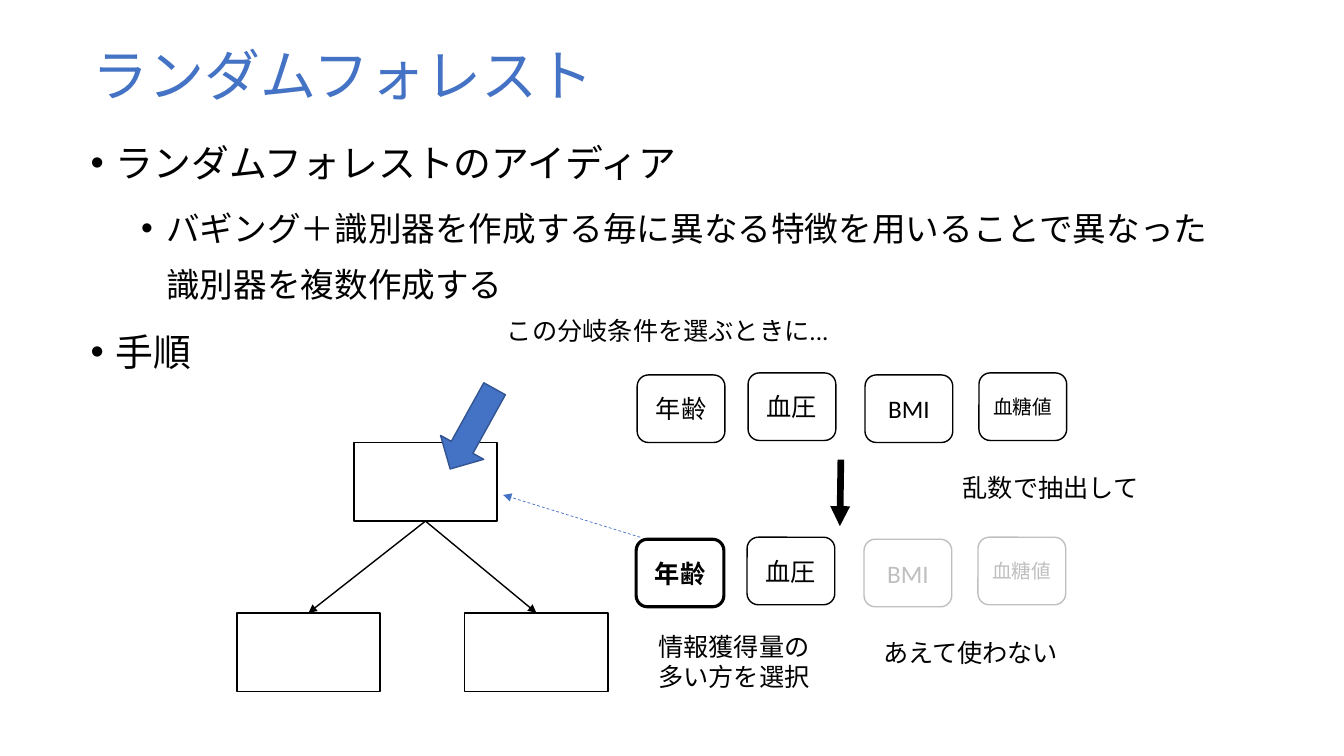
import pptx
import pptx.util
import pptx.dml.color
import pptx.enum.dml
import pptx.enum.shapes
import pptx.enum.text
from pptx.oxml.ns import qn
from lxml import etree

BLACK, BLUE, NAVY, GRAY = "000000", "4472C4", "325491", "BFBFBF"
JAPANESE, LATIN = "Noto Sans CJK JP", "Calibri"
SHAPES = pptx.enum.shapes.MSO_SHAPE
ALIGN = pptx.enum.text.PP_ALIGN
ANCHOR = pptx.enum.text.MSO_ANCHOR
FIT = pptx.enum.text.MSO_AUTO_SIZE
inch = pptx.util.Inches
pt = pptx.util.Pt


def color(code):
    return pptx.dml.color.RGBColor.from_string(code)


def style(paragraph, size, code=BLACK, face=LATIN, bold=False):
    font = paragraph.font
    font.size, font.bold, font.name = pt(size), bold, face
    font.color.rgb = color(code)
    # East Asian face follows the Latin one
    defaults = paragraph._p.pPr.find(qn("a:defRPr"))
    etree.SubElement(defaults, qn("a:ea")).set("typeface", JAPANESE)


def place(shape, box):
    shape.left, shape.top, shape.width, shape.height = map(inch, box)


def add_outline(slide, kind, box, line=BLACK, weight=1, fill=None):
    shape = slide.shapes.add_shape(kind, *map(inch, box))
    shape.shadow.inherit = False
    if fill:
        shape.fill.solid()
        shape.fill.fore_color.rgb = color(fill)
    else:
        shape.fill.background()
    shape.line.color.rgb = color(line)
    shape.line.width = pt(weight)
    return shape


def add_arrow(slide, start, end, code=BLACK, weight=1, dashed=False):
    arrow = slide.shapes.add_connector(
        pptx.enum.shapes.MSO_CONNECTOR.STRAIGHT, *map(inch, start + end))
    arrow.line.color.rgb = color(code)
    arrow.line.width = pt(weight)
    if dashed:
        arrow.line.dash_style = pptx.enum.dml.MSO_LINE.DASH
    etree.SubElement(arrow.line._get_or_add_ln(), qn("a:tailEnd")).set("type", "triangle")
    etree.SubElement(arrow._element.spPr, qn("a:effectLst"))


def add_caption(slide, box, lines, wrap=False):
    caption = slide.shapes.add_textbox(*map(inch, box))
    frame = caption.text_frame
    frame.word_wrap = wrap
    frame.text = "\n".join(lines)
    for paragraph in frame.paragraphs:
        style(paragraph, 18)


def fill_title(slide, box):
    title = slide.shapes.title
    place(title, box)
    frame = title.text_frame
    frame.text = "ランダムフォレスト"
    frame.vertical_anchor = ANCHOR.MIDDLE
    frame.auto_size = FIT.NONE
    heading = frame.paragraphs[0]
    heading.alignment = ALIGN.LEFT
    heading.line_spacing = 0.9
    style(heading, 40, BLUE, JAPANESE)


def fill_body(slide, box):
    body = slide.placeholders[1]
    place(body, box)
    outline = [
        (0, "ランダムフォレストのアイディア"),
        (1, "バギング＋識別器を作成する毎に異なる特徴を用いることで異なった識別器を複数作成する"),
        (0, "手順"),
    ]
    frame = body.text_frame
    frame.auto_size = FIT.NONE
    frame.text = "\n".join(text for level, text in outline)
    for index, (paragraph, (level, text)) in enumerate(zip(frame.paragraphs, outline)):
        paragraph.level = level
        paragraph.line_spacing = pt(40)
        paragraph.space_before = pt((10, 5)[level] if index else 0)
        props = paragraph._p.get_or_add_pPr()
        props.set("marL", str(inch(0.25 + 0.5 * level)))
        props.set("indent", str(inch(-0.25)))
        etree.SubElement(props, qn("a:buFont")).set("typeface", "Arial")
        etree.SubElement(props, qn("a:buChar")).set("char", "•")
        style(paragraph, (27, 24)[level], BLACK, JAPANESE)


def draw_tree(slide, box):
    left, top, width, height = box
    node_w, node_h = 1.42, 0.78
    root_left, leaf_top = left + 1.16, top + height - node_h
    leaves = (left, left + width - node_w)
    for x, y in [(root_left, top)] + [(leaf, leaf_top) for leaf in leaves]:
        add_outline(slide, SHAPES.RECTANGLE, (x, y, node_w, node_h))
    for leaf in leaves:
        add_arrow(slide, (root_left + node_w / 2, top + node_h),
                  (leaf + node_w / 2, leaf_top))
    # Pointer to the branching condition
    pointer = add_outline(slide, SHAPES.DOWN_ARROW,
                          (left + 2.09, top - 0.59, 0.49, 0.91), NAVY, 1, BLUE)
    pointer.rotation = 29
    add_caption(slide, (left + 2.58, top - 1.31, 3.42, 0.4),
                ["この分岐条件を選ぶときに..."], wrap=True)


def draw_features(slide, box, chosen=None, unused=()):
    left, top, width, height = box
    tile_w, tile_h = 0.87, 0.67
    features = [("年齢", 0, 18), ("血圧", 1.1, 18), ("BMI", 2.26, 18), ("血糖値", 3.39, 14)]
    for index, (feature, offset, size) in enumerate(features):
        code = GRAY if feature in unused else BLACK
        drop = 0 if index % 2 else height - tile_h
        tile = add_outline(slide, SHAPES.ROUNDED_RECTANGLE,
                           (left + offset, top + drop, tile_w, tile_h),
                           code, 2.25 if feature == chosen else 1)
        frame = tile.text_frame
        frame.text = feature
        frame.vertical_anchor = ANCHOR.MIDDLE
        frame.paragraphs[0].alignment = ALIGN.CENTER
        style(frame.paragraphs[0], size, code, bold=feature == chosen)


def draw_selection(slide, box):
    left, top, width, height = box
    row_w, row_h, sampled_top = 4.26, 0.69, top + 1.63
    draw_features(slide, (left + 0.01, top, row_w, row_h))
    draw_features(slide, (left, sampled_top, row_w, row_h), "年齢", ("BMI", "血糖値"))
    # Random sampling, then the chosen feature goes to the root node
    add_arrow(slide, (left + 2.03, top + 0.86), (left + 2.02, top + 1.52), weight=4.75)
    add_arrow(slide, (left + 0.04, sampled_top), (left - 1.32, top + 1.21), BLUE, 0.5, True)
    add_caption(slide, (left + 3.14, top + 0.94, 1.97, 0.4), ["乱数で抽出して"])
    add_caption(slide, (left + 2.35, top + 2.57, 1.97, 0.4), ["あえて使わない"])
    add_caption(slide, (left + 0.12, top + 2.51, 1.72, 0.71), ["情報獲得量の", "多い方を選択"])


def main():
    deck = pptx.Presentation()
    deck.slide_width, deck.slide_height = inch(13.33), inch(7.5)
    slide = deck.slides.add_slide(deck.slide_layouts[1])
    fill_title(slide, (0.82, 0.39, 8.62, 0.77))
    fill_body(slide, (0.8, 1.23, 11.36, 5.88))
    draw_tree(slide, (2.35, 4.39, 3.68, 2.47))
    draw_selection(slide, (6.31, 3.7, 5.11, 3.22))
    deck.save("out.pptx")


if __name__ == "__main__":
    main()
